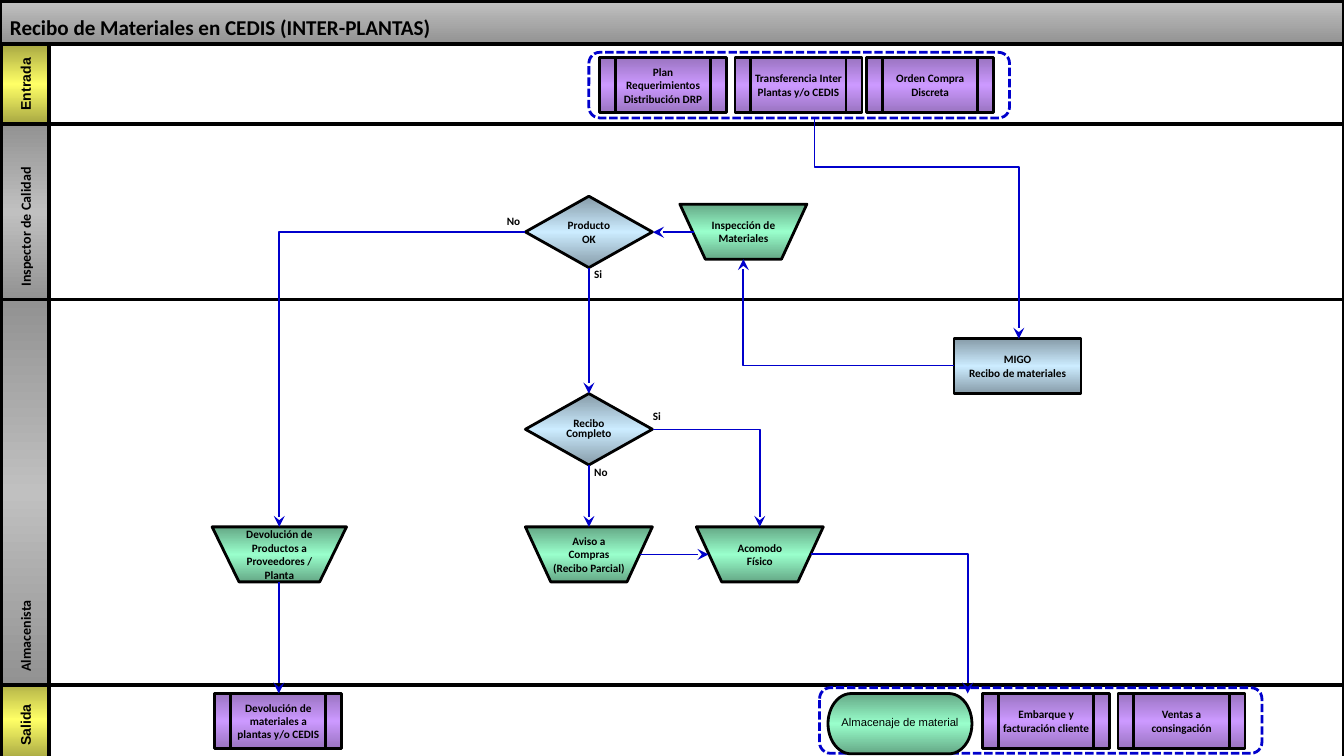
import copy

import lxml.etree
import pptx
import pptx.dml.color
import pptx.enum.dml
import pptx.enum.shapes
import pptx.enum.text
import pptx.oxml.ns
import pptx.util

Cm = pptx.util.Cm
Pt = pptx.util.Pt
RGB = pptx.dml.color.RGBColor
SHAPE = pptx.enum.shapes.MSO_SHAPE
CONNECTOR = pptx.enum.shapes.MSO_CONNECTOR
ALIGN = pptx.enum.text.PP_ALIGN
ANCHOR = pptx.enum.text.MSO_ANCHOR
qn = pptx.oxml.ns.qn

BLACK = RGB(0x00, 0x00, 0x00)
WHITE = RGB(0xFF, 0xFF, 0xFF)
BACKGROUND = RGB(0xF2, 0xF2, 0xF2)
BLUE = RGB(0x00, 0x00, 0xCC)
SILVER = RGB(0xC0, 0xC0, 0xC0)
GRAY = RGB(0x92, 0x92, 0x92)
GRAY_BAND = (GRAY, SILVER, GRAY)
YELLOW_BAND = (RGB(0xA8, 0xA8, 0x43), RGB(0xFF, 0xFF, 0x66), RGB(0xA8, 0xA8, 0x43))
SKY_BAND = (RGB(0x86, 0x9B, 0xA8), RGB(0xCC, 0xEC, 0xFF), RGB(0x86, 0x9B, 0xA8))
GREEN_BAND = (RGB(0x65, 0xA8, 0x86), RGB(0x99, 0xFF, 0xCC), RGB(0x65, 0xA8, 0x86))
PURPLE_BAND = (RGB(0x9A, 0x74, 0xC1), RGB(0xCC, 0x99, 0xFF), RGB(0x9A, 0x74, 0xC1))

NODE_W, NODE_H = 2.4, 1.04
TOP, LEFT, BOTTOM, RIGHT = range(4)


def fill_gradient(sp, colors):
    sp.fill.gradient()
    sp.fill.gradient_angle = 270
    stops = sp._element.spPr.find(".//" + qn("a:gsLst"))
    for _ in colors[2:]:
        stops.append(copy.deepcopy(stops[0]))
    for i, (stop, color) in enumerate(zip(sp.fill.gradient_stops, colors)):
        stop.position = i / (len(colors) - 1)
        stop.color.rgb = color


def add_box(slide, kind, x, y, w, h, colors=None, line=BLACK, width=1.5):
    sp = slide.shapes.add_shape(kind, Cm(x), Cm(y), Cm(w), Cm(h))
    sp.shadow.inherit = False
    sp.line.color.rgb = line
    sp.line.width = Pt(width)
    if colors is None:
        sp.fill.background()
    elif len(colors) == 1:
        sp.fill.solid()
        sp.fill.fore_color.rgb = colors[0]
    else:
        fill_gradient(sp, colors)
    return sp


def write(sp, lines, size=6, font="Calibri", bold=True, align=ALIGN.CENTER,
          inset=0.03, wrap=True, spacing=None):
    tf = sp.text_frame
    tf.word_wrap = wrap
    tf.vertical_anchor = ANCHOR.MIDDLE
    tf.margin_left = tf.margin_right = tf.margin_top = tf.margin_bottom = Cm(inset)
    for i, line in enumerate(lines):
        p = tf.add_paragraph() if i else tf.paragraphs[0]
        p.alignment = align
        p.line_spacing = spacing
        r = p.add_run()
        r.text = line
        r.font.size = Pt(size)
        r.font.name = font
        r.font.bold = bold
        r.font.color.rgb = BLACK


def add_lane(slide, name, y, h, colors, font="Calibri"):
    add_box(slide, SHAPE.RECTANGLE, 0, y, 25.4, h, [WHITE], width=2)
    sp = add_box(slide, SHAPE.RECTANGLE, 0.03, y, 0.9, h, colors, width=2)
    write(sp, [name], 7.5, font, align=ALIGN.LEFT, inset=0.1)
    sp.text_frame.margin_bottom = Cm(0.25)
    sp.text_frame._txBody.bodyPr.set("vert", "vert270")


def add_node(slide, kind, x, y, colors, *lines, w=NODE_W, h=NODE_H, **style):
    sp = add_box(slide, kind, x, y, w, h, colors)
    write(sp, lines, **style)
    return sp


def add_group_outline(slide, x, y, w):
    sp = add_box(slide, SHAPE.FLOWCHART_ALTERNATE_PROCESS, x, y, w, 1.24, line=BLUE)
    sp.line.dash_style = pptx.enum.dml.MSO_LINE.SQUARE_DOT


def add_text(slide, text, x, y, w, h, **style):
    sp = slide.shapes.add_textbox(Cm(x), Cm(y), Cm(w), Cm(h))
    write(sp, [text], align=ALIGN.LEFT, inset=0, **style)


def add_arrow(slide, x1, y1, x2, y2, begin=None, end=None, preset=None):
    kind = CONNECTOR.ELBOW if preset else CONNECTOR.STRAIGHT
    c = slide.shapes.add_connector(kind, Cm(x1), Cm(y1), Cm(x2), Cm(y2))
    if begin:
        c.begin_connect(*begin)
        c.begin_x, c.begin_y = Cm(x1), Cm(y1)
    if end:
        c.end_connect(*end)
        c.end_x, c.end_y = Cm(x2), Cm(y2)
    c.line.color.rgb = BLUE
    c.line.width = Pt(1)
    spPr = c._element.spPr
    if preset:
        spPr.find(qn("a:prstGeom")).set("prst", preset)
    lxml.etree.SubElement(spPr.find(qn("a:ln")), qn("a:tailEnd")).set("type", "stealth")
    lxml.etree.SubElement(spPr, qn("a:effectLst"))
    return c


def turn_elbow(c, degrees, bend):
    spPr = c._element.spPr
    spPr.find(qn("a:xfrm")).set("rot", str(degrees * 60000))
    guides = spPr.find(".//" + qn("a:avLst"))
    guide = lxml.etree.SubElement(guides, qn("a:gd"))
    guide.set("name", "adj1")
    guide.set("fmla", f"val {round(bend * 100000)}")


def add_lanes(slide):
    add_lane(slide, "Salida", 12.85, 1.5, YELLOW_BAND, "Arial")
    add_lane(slide, "Entrada", 0.84, 1.5, YELLOW_BAND, "Arial")
    add_box(slide, SHAPE.RECTANGLE, 0, 0.03, 25.4, 0.81, (SILVER, GRAY), width=2)
    add_lane(slide, "Inspector de Calidad", 2.34, 3.33, GRAY_BAND)
    add_lane(slide, "Almacenista", 5.66, 7.29, GRAY_BAND)
    add_text(slide, "Recibo de Materiales en CEDIS (INTER-PLANTAS)",
             0.19, 0.1, 16, 0.81, size=11.3)


def add_documents(slide):
    add_group_outline(slide, 11.13, 0.99, 7.95)
    add_group_outline(slide, 15.49, 13, 8.36)
    for x, y, text in (
        (11.33, 1.09, "Plan Requerimientos Distribución DRP"),
        (13.89, 1.09, "Transferencia Inter Plantas y/o CEDIS"),
        (16.38, 1.09, "Orden Compra Discreta"),
        (4.06, 13.11, "Devolución de materiales a plantas y/o CEDIS"),
        (18.57, 13.11, "Embarque y facturación cliente"),
        (21.13, 13.11, "Ventas a consingación"),
    ):
        add_node(slide, SHAPE.FLOWCHART_PREDEFINED_PROCESS, x, y, PURPLE_BAND, text)
    add_node(slide, SHAPE.FLOWCHART_TERMINATOR, 15.65, 13.11, GREEN_BAND,
             "Almacenaje de material", w=2.72, h=1.14, font="Arial", bold=False,
             inset=0.05, spacing=0.8)


def add_flow(slide):
    manual = SHAPE.FLOWCHART_MANUAL_OPERATION
    product = add_node(slide, SHAPE.DIAMOND, 9.93, 3.71, SKY_BAND,
                       "Producto", "OK", h=1.35, inset=0)
    receipt = add_node(slide, SHAPE.DIAMOND, 9.93, 7.44, SKY_BAND,
                       "Recibo Completo", h=1.35, inset=0, spacing=0.8)
    notice = add_node(slide, manual, 9.93, 9.96, GREEN_BAND,
                      "Aviso a Compras", "(Recibo Parcial)")
    returns = add_node(slide, manual, 4.01, 9.96, GREEN_BAND,
                       "Devolución de Productos a Proveedores / Planta", w=2.54)
    storage = add_node(slide, manual, 13.16, 9.96, GREEN_BAND, "Acomodo Físico", inset=0.1)
    inspection = add_node(slide, manual, 12.85, 3.86, GREEN_BAND, "Inspección de Materiales")
    migo = add_node(slide, SHAPE.RECTANGLE, 18.03, 6.4, SKY_BAND,
                    "MIGO", "Recibo de materiales")

    add_arrow(slide, 13.11, 4.39, 12.34, 4.39, (inspection, LEFT), (product, RIGHT))
    add_arrow(slide, 11.13, 5.06, 11.13, 7.44, (product, BOTTOM), (receipt, TOP))
    add_arrow(slide, 11.13, 8.79, 11.13, 9.96, (receipt, BOTTOM), (notice, TOP))
    add_arrow(slide, 12.09, 10.48, 13.39, 10.48, (notice, RIGHT), (storage, LEFT))
    add_arrow(slide, 5.27, 11, 5.27, 13.11, (returns, BOTTOM))

    corner = "bentConnector2"
    add_arrow(slide, 9.93, 4.39, 5.28, 9.96, (product, LEFT), (returns, TOP), corner)
    add_arrow(slide, 18.03, 6.91, 14.05, 4.9, (migo, LEFT), (inspection, BOTTOM), corner)
    add_arrow(slide, 12.34, 8.12, 14.36, 9.96, (receipt, RIGHT), (storage, TOP), corner)
    add_arrow(slide, 15.32, 10.48, 18.29, 13.11, (storage, RIGHT), preset=corner)
    entry = add_arrow(slide, 19.41, 2.39, 15.24, 6.25, end=(migo, TOP),
                      preset="bentConnector3")
    turn_elbow(entry, 270, 0.22)

    for text, x, y in (("No", 9.58, 4.06), ("Si", 11.23, 5.05),
                       ("No", 11.23, 8.79), ("Si", 12.34, 7.73)):
        add_text(slide, text, x, y, 0.5, 0.25)


def main():
    prs = pptx.Presentation()
    prs.slide_width, prs.slide_height = Cm(25.4), Cm(14.29)
    slide = prs.slides.add_slide(prs.slide_layouts[6])
    slide.background.fill.solid()
    slide.background.fill.fore_color.rgb = BACKGROUND
    add_lanes(slide)
    add_documents(slide)
    add_flow(slide)
    prs.save("out.pptx")


if __name__ == "__main__":
    main()
